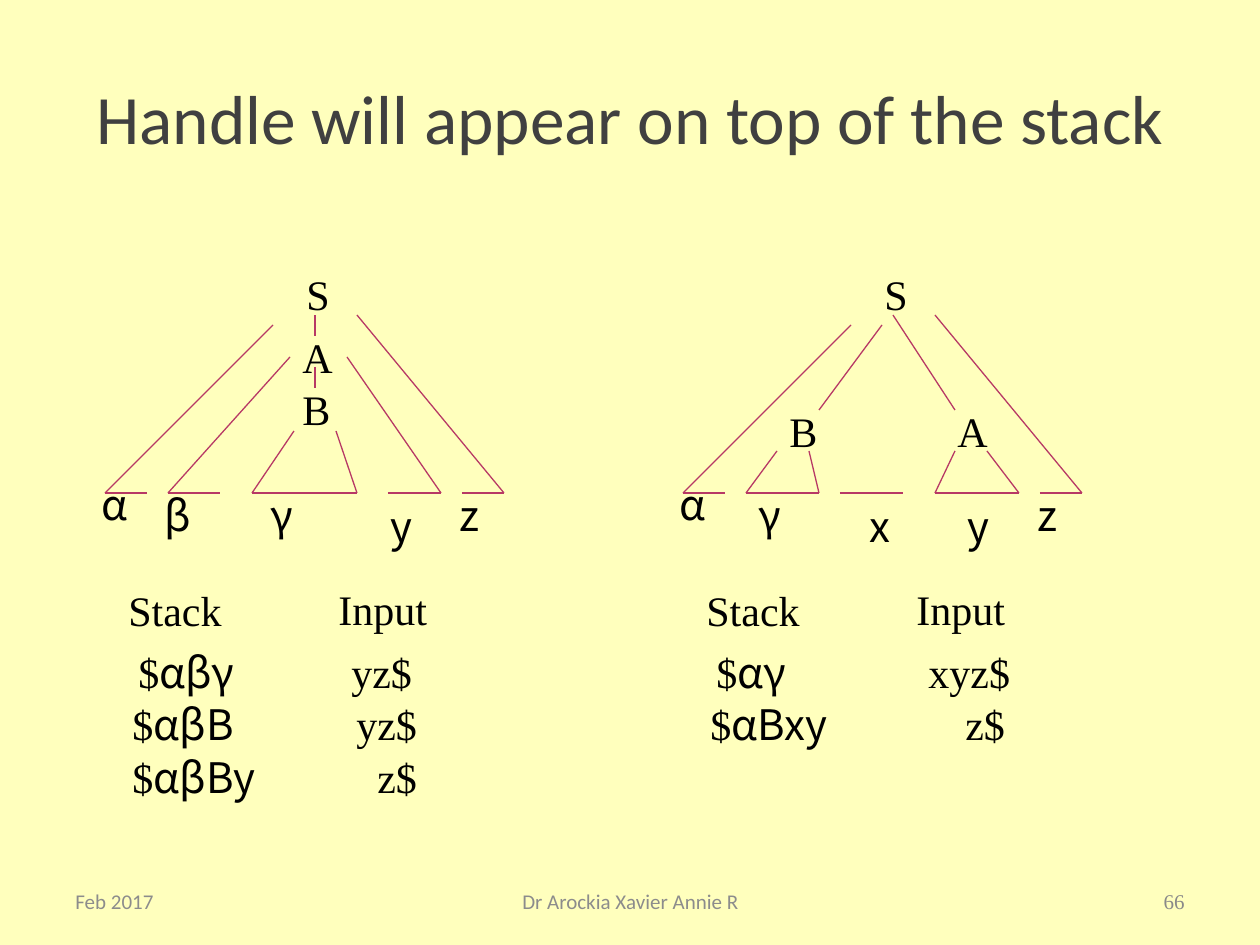
from dataclasses import dataclass

from lxml.etree import SubElement
from pptx import Presentation
from pptx.dml.color import RGBColor
from pptx.enum.shapes import MSO_CONNECTOR
from pptx.enum.text import MSO_ANCHOR, MSO_AUTO_SIZE, PP_ALIGN
from pptx.oxml.ns import qn
from pptx.util import Emu, Pt


@dataclass(frozen=True)
class Theme:
    background: RGBColor = RGBColor(0xFF, 0xFF, 0xBD)
    title: RGBColor = RGBColor(0x40, 0x40, 0x40)
    footer: RGBColor = RGBColor(0x8C, 0x8C, 0x8C)
    page_number: RGBColor = RGBColor(0x89, 0x89, 0x89)
    ink: RGBColor = RGBColor(0, 0, 0)
    branch: RGBColor = RGBColor(0xB7, 0x39, 0x65)
    branch_width: float = 0.75
    title_size: float = 39.6
    label_size: float = 24
    footer_size: float = 12
    heading_font: str = "Calibri"
    serif: str = "Times New Roman"
    greek: str = "Noto Sans CJK JP"


THEME = Theme()
EMU_PER_PX = 914400 / 126
LABEL_HEIGHT = 64
BASELINE = 493
TREE_SHIFT = 578

# Positions inside a tree are measured from the left tree's origin.
SHARED_BRANCHES = [(273, 325, 105, BASELINE), (357, 315, 504, BASELINE)]
SHARED_BASES = [(105, 147), (462, 504)]
SHARED_NODES = [("S", 294, 262, 49)]
SHARED_LEAVES = [("α", 89, 472, 68), ("z", 447, 483, 47)]

FIRST_TREE = {
    "branches": [
        (290, 357, 168, BASELINE), (347, 357, 441, BASELINE),
        (315, 315, 315, 336), (315, 367, 315, 388),
        (294, 431, 252, BASELINE), (336, 431, 357, BASELINE),
    ],
    "bases": [(168, 220), (252, 357), (388, 441)],
    "nodes": [("A", 290, 325, 57), ("B", 290, 377, 54)],
    "leaves": [("β", 152, 483, 68), ("γ", 258, 483, 68), ("y", 378, 494, 47)],
    # stack symbols, stack left, input, input left, input width
    "moves": [
        ("αβγ", 126, "yz$", 339, 87),
        ("αβB", 120, "yz$", 344, 87),
        ("αβBy", 120, "z$", 365, 66),
    ],
}
SECOND_TREE = {
    "branches": [
        (304, 325, 241, 410), (315, 315, 377, 410),
        (199, 451, 168, BASELINE), (231, 451, 241, BASELINE),
        (377, 451, 357, BASELINE), (409, 451, 441, BASELINE),
    ],
    "bases": [(168, 241), (262, 325), (357, 441)],
    "nodes": [("B", 199, 399, 54), ("A", 367, 399, 57)],
    "leaves": [("γ", 168, 483, 68), ("x", 279, 494, 47), ("y", 377, 494, 47)],
    "moves": [
        ("αγ", 126, "xyz$", 338, 108),
        ("αBxy", 120, "z$", 375, 66),
    ],
}


def px(length):
    return Emu(round(length * EMU_PER_PX))


def style_paragraph(paragraph, font_name, size, color):
    font = paragraph.font
    font.name, font.size = font_name, Pt(size)
    font.color.rgb = color


def add_title(slide, text):
    title = slide.shapes.title
    title.left, title.top, title.width, title.height = map(px, (63, 38, 1134, 158))
    title.text_frame.text = text
    title.text_frame.vertical_anchor = MSO_ANCHOR.MIDDLE
    paragraph = title.text_frame.paragraphs[0]
    paragraph.alignment = PP_ALIGN.CENTER
    style_paragraph(paragraph, THEME.heading_font, THEME.title_size, THEME.title)


def add_footer(slide, text, left, width, alignment, font_name, color):
    frame = slide.shapes.add_textbox(px(left), px(876), px(width), px(50)).text_frame
    frame.word_wrap = True
    frame.vertical_anchor = MSO_ANCHOR.MIDDLE
    frame.text = text
    paragraph = frame.paragraphs[0]
    paragraph.alignment = alignment
    style_paragraph(paragraph, font_name, THEME.footer_size, color)


def add_label(slide, text, left, top, width, font_name=THEME.serif, wrap=False):
    """Add a label and return its paragraph."""
    box = slide.shapes.add_textbox(px(left), px(top), px(width), px(LABEL_HEIGHT))
    frame = box.text_frame
    frame.word_wrap = wrap
    frame.auto_size = MSO_AUTO_SIZE.SHAPE_TO_FIT_TEXT
    frame.text = text
    paragraph = frame.paragraphs[0]
    style_paragraph(paragraph, font_name, THEME.label_size, THEME.ink)
    return paragraph


def add_branch(slide, x1, y1, x2, y2):
    branch = slide.shapes.add_connector(
        MSO_CONNECTOR.STRAIGHT, px(x1), px(y1), px(x2), px(y2))
    branch.line.color.rgb = THEME.branch
    branch.line.width = Pt(THEME.branch_width)
    SubElement(branch._element.spPr, qn("a:effectLst"))


def add_tree(slide, tree, shift):
    for x1, y1, x2, y2 in SHARED_BRANCHES + tree["branches"]:
        add_branch(slide, x1 + shift, y1, x2 + shift, y2)
    for start, end in SHARED_BASES + tree["bases"]:
        add_branch(slide, start + shift, BASELINE, end + shift, BASELINE)
    for text, left, top, width in SHARED_NODES + tree["nodes"]:
        add_label(slide, text, left + shift, top, width)
    for text, left, top, width in SHARED_LEAVES + tree["leaves"]:
        add_label(slide, text, left + shift, top, width, THEME.greek)


def add_moves(slide, moves, shift):
    """List the stack and the remaining input after each parser move."""
    add_label(slide, "Stack", 116 + shift, 578, 120)
    add_label(slide, "Input", 326 + shift, 577, 115)
    for row, (symbols, stack_left, rest, rest_left, rest_width) in enumerate(moves):
        top = 640 + round(52.5 * row)
        stack = add_label(slide, "$", stack_left + shift, top, 174, wrap=True)
        symbol_run = stack.add_run()
        symbol_run.text = symbols
        symbol_run.font.name = THEME.greek
        add_label(slide, rest, rest_left + shift, top, rest_width)


def main():
    deck = Presentation()
    deck.slide_width, deck.slide_height = px(1260), px(945)
    slide = deck.slides.add_slide(deck.slide_layouts[5])
    slide.background.fill.solid()
    slide.background.fill.fore_color.rgb = THEME.background

    add_title(slide, "Handle will appear on top of the stack")
    for position, tree in enumerate((FIRST_TREE, SECOND_TREE)):
        shift = position * TREE_SHIFT
        add_tree(slide, tree, shift)
        add_moves(slide, tree["moves"], shift)

    add_footer(slide, "Feb 2017", 63, 294, PP_ALIGN.LEFT,
               THEME.heading_font, THEME.footer)
    add_footer(slide, "Dr Arockia Xavier Annie R", 431, 399, PP_ALIGN.CENTER,
               THEME.heading_font, THEME.footer)
    add_footer(slide, "66", 903, 294, PP_ALIGN.RIGHT,
               THEME.serif, THEME.page_number)
    deck.save("out.pptx")


if __name__ == "__main__":
    main()
